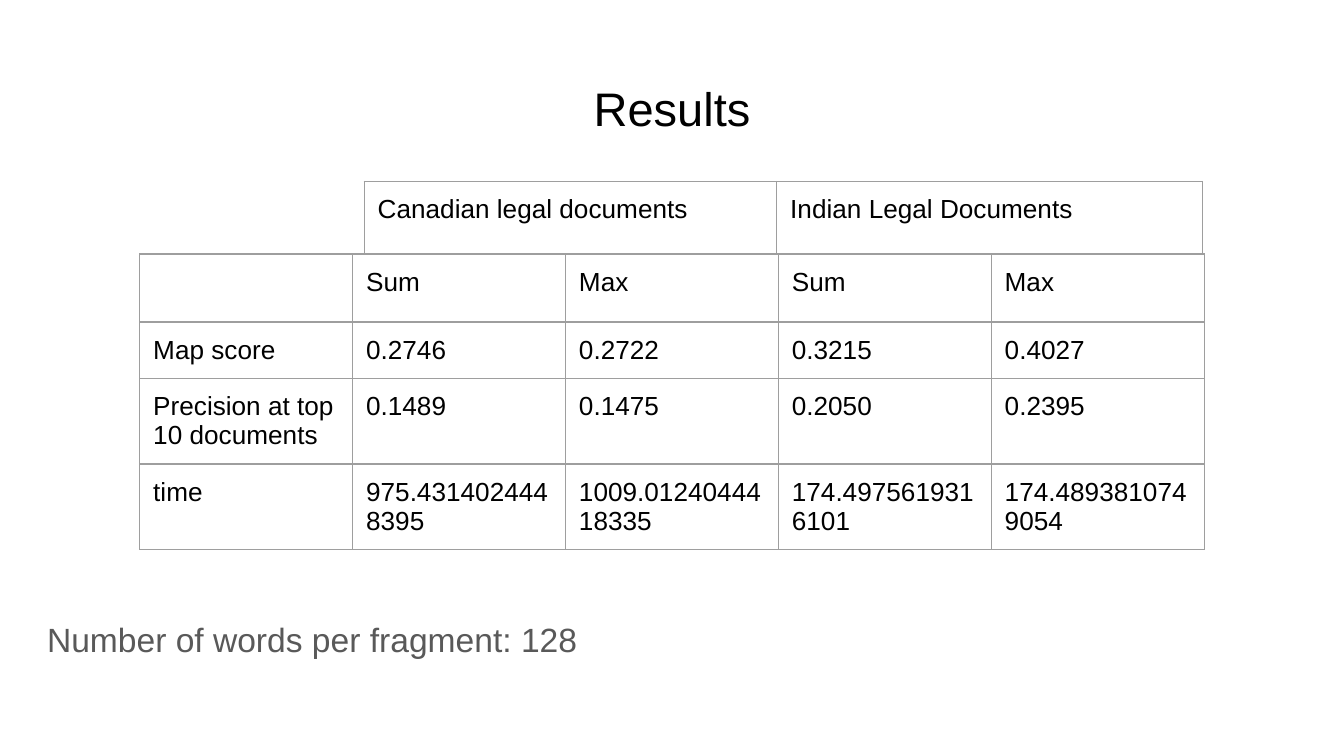
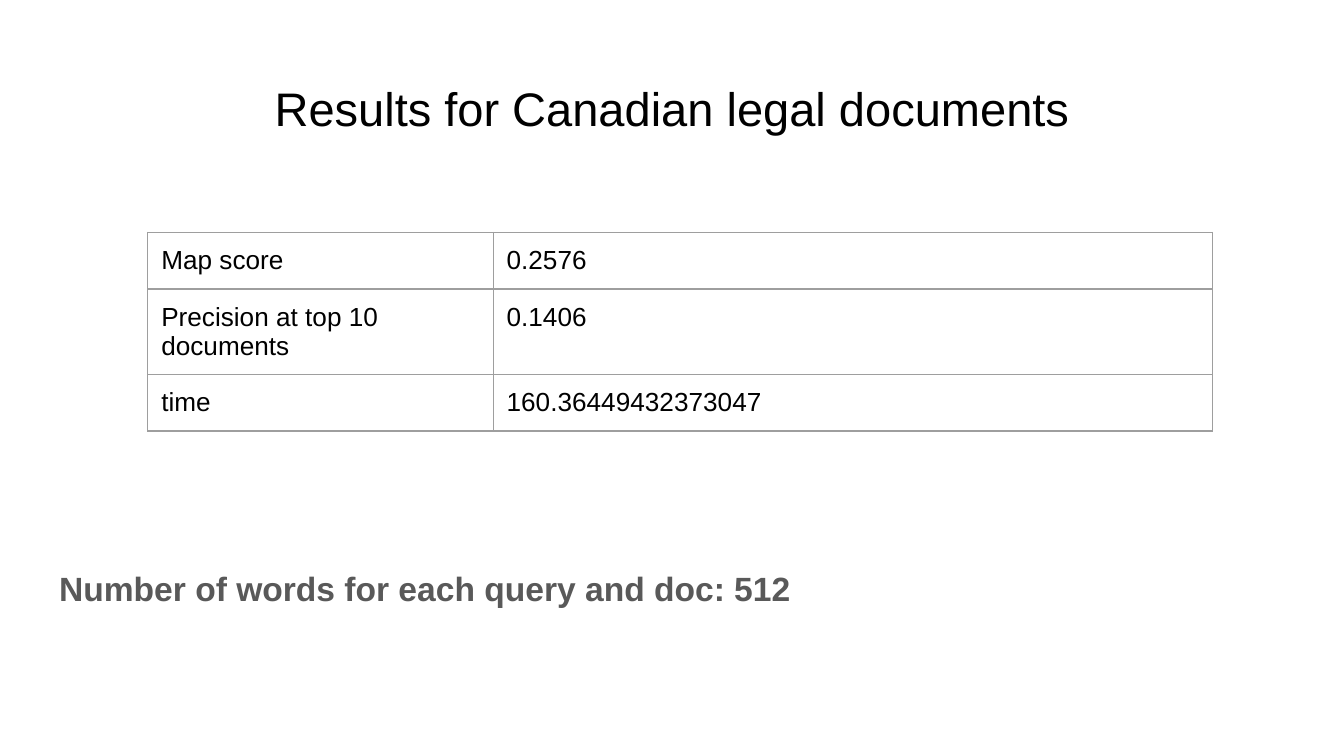
from collections import namedtuple

from lxml.etree import SubElement
from pptx import Presentation
from pptx.dml.color import RGBColor
from pptx.enum.text import MSO_ANCHOR, MSO_AUTO_SIZE, PP_ALIGN
from pptx.oxml.ns import qn
from pptx.util import Inches, Pt

Box = namedtuple("Box", "column row columns rows")

GRID_COLUMNS, GRID_ROWS = 100, 56.25
CELL = Inches(0.1)
INSET = 1
TITLE_BOX = Box(3.4, 4.9, 93.2, 6.3)
ROW_HEIGHT = 4.2
FONT = "Arial"
BLACK, GRAY, BORDER, WHITE = "000000", "595959", "9E9E9E", "FFFFFF"


def grid(count):
    return round(count * CELL)


def color(hex_string):
    return RGBColor.from_string(hex_string)


def write_text(frame, text, size=14, fill=BLACK, bold=False,
               align=PP_ALIGN.LEFT, line_spacing=1, space_after=0):
    paragraph = frame.paragraphs[0]
    paragraph.alignment = align
    paragraph.line_spacing = line_spacing
    paragraph.space_before = Pt(0)
    paragraph.space_after = Pt(space_after)
    run = paragraph.add_run()
    run.text = text
    run.font.name = FONT
    run.font.size = Pt(size)
    run.font.bold = bold
    run.font.color.rgb = color(fill)
    return paragraph


def set_margins(target):
    for side in ("left", "top", "right", "bottom"):
        setattr(target, f"margin_{side}", grid(INSET))


def fill_placeholder(shape, box, text, **text_format):
    shape.left, shape.top = grid(box.column), grid(box.row)
    shape.width, shape.height = grid(box.columns), grid(box.rows)
    frame = shape.text_frame
    frame.word_wrap = True
    frame.auto_size = MSO_AUTO_SIZE.NONE
    frame.vertical_anchor = MSO_ANCHOR.TOP
    set_margins(frame)
    return write_text(frame, text, **text_format)


def remove_bullet(paragraph):
    properties = paragraph._p.get_or_add_pPr()
    properties.set("marL", "0")
    properties.set("indent", "0")
    SubElement(properties, qn("a:buNone"))


def draw_borders(cell):
    properties = cell._tc.get_or_add_tcPr()
    for edge in ("a:lnL", "a:lnR", "a:lnT", "a:lnB"):
        line = SubElement(properties, qn(edge), w=str(Pt(0.75)))
        solid = SubElement(line, qn("a:solidFill"))
        SubElement(solid, qn("a:srgbClr"), val=BORDER)


def add_grid_table(slide, column, row, widths, records, row_height=ROW_HEIGHT):
    frame = slide.shapes.add_table(
        len(records), len(widths), grid(column), grid(row),
        grid(sum(widths)), grid(row_height * len(records)))
    table = frame.table
    table.first_row = table.horz_banding = False
    for table_column, width in zip(table.columns, widths):
        table_column.width = grid(width)
    for table_row, record in zip(table.rows, records):
        table_row.height = grid(row_height)
        for cell, text in zip(table_row.cells, record):
            set_margins(cell)
            draw_borders(cell)
            cell.fill.background()
            if text:
                write_text(cell.text_frame, text)


def add_results_slide(presentation, title, note, note_box, note_bold=False):
    slide = presentation.slides.add_slide(presentation.slide_layouts[1])
    slide.background.fill.solid()
    slide.background.fill.fore_color.rgb = color(WHITE)
    fill_placeholder(slide.shapes.title, TITLE_BOX, title,
                     size=25.2, align=PP_ALIGN.CENTER)
    remove_bullet(fill_placeholder(
        slide.placeholders[1], note_box, note, size=18, fill=GRAY,
        bold=note_bold, line_spacing=1.15, space_after=12))
    return slide


def add_comparison_slide(presentation):
    slide = add_results_slide(presentation, "Results",
                              "Number of words per fragment: 128",
                              Box(2.5, 44.6, 94.1, 5.4))
    add_grid_table(slide, 10.4, 18.9, [15.84] * 5, [
        ("", "Sum", "Max", "Sum", "Max"),
        ("Map score", "0.2746", "0.2722", "0.3215", "0.4027"),
        ("Precision at top 10 documents", "0.1489", "0.1475", "0.2050", "0.2395"),
        ("time", "975.4314024448395", "1009.0124044418335",
         "174.4975619316101", "174.4893810749054"),
    ])
    add_grid_table(slide, 27.1, 13.5, [30.7, 31.7], [
        ("Canadian legal documents", "Indian Legal Documents"),
    ], row_height=5.4)


def add_canadian_slide(presentation):
    slide = add_results_slide(presentation, "Results for Canadian legal documents",
                              "Number of words for each query and doc: 512",
                              Box(3.4, 40.8, 91.2, 9.2), note_bold=True)
    add_grid_table(slide, 11, 17.3, [25.7, 53.5], [
        ("Map score", "0.2576"),
        ("Precision at top 10 documents", "0.1406"),
        ("time", "160.36449432373047"),
    ])


def main():
    presentation = Presentation()
    presentation.slide_width = grid(GRID_COLUMNS)
    presentation.slide_height = grid(GRID_ROWS)
    add_comparison_slide(presentation)
    add_canadian_slide(presentation)
    presentation.save("out.pptx")


if __name__ == "__main__":
    main()
